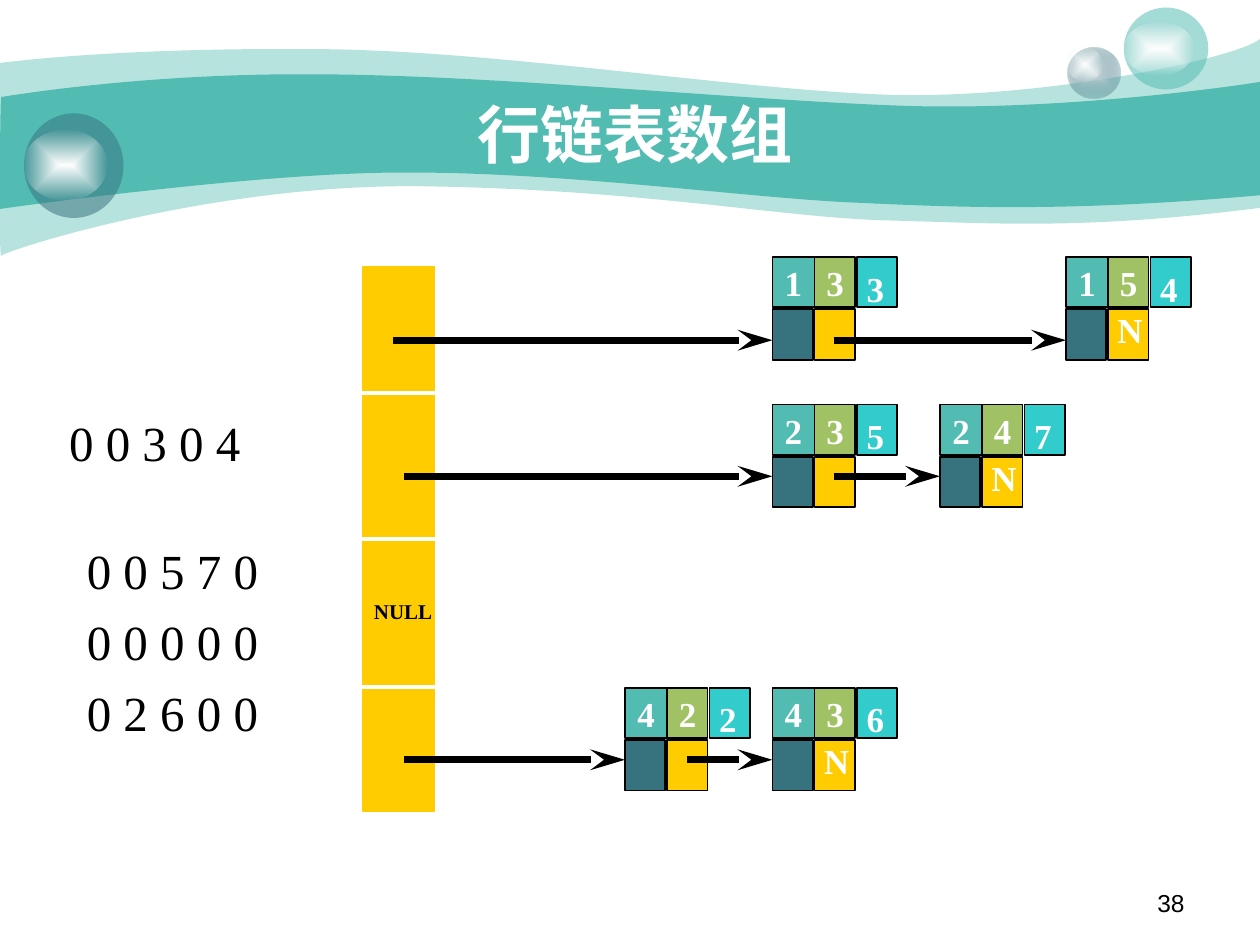
from dataclasses import dataclass

from pptx import Presentation
from pptx.dml.color import RGBColor
from pptx.enum import shapes as kinds, text as txt
from pptx.oxml import parse_xml
from pptx.oxml.ns import nsdecls, qn
from pptx.util import Inches, Pt


@dataclass(frozen=True)
class Theme:
    teal: str = "52BCB2"
    slate: str = "37737F"
    mist: str = "CCDBDE"
    green: str = "A0C264"
    aqua: str = "33CCCC"
    gold: str = "FFCC00"
    black: str = "000000"
    white: str = "FFFFFF"
    serif: str = "Times New Roman"
    sans: str = "Arial"
    title: int = 36
    matrix: int = 28
    cell: int = 20
    page: int = 14
    null: int = 12


THEME = Theme()
CENTER, LEFT, RIGHT = (txt.PP_ALIGN.CENTER, txt.PP_ALIGN.LEFT, txt.PP_ALIGN.RIGHT)
NODE_LINK = 0.49  # distance from a node's left edge to its outgoing arrow


def rgb(color):
    return RGBColor.from_string(color)


def add_text(slide, box, lines, size, color, align=LEFT, bold=False,
             font=THEME.serif, wrap=True):
    frame = slide.shapes.add_textbox(*map(Inches, box)).text_frame
    frame.word_wrap = wrap
    frame.text = "\n".join(lines)
    for paragraph in frame.paragraphs:
        paragraph.alignment = align
        for run in paragraph.runs:
            run.font.size, run.font.bold, run.font.name = Pt(size), bold, font
            run.font.color.rgb = rgb(color)
    return frame


def paint(shape, color, outline=None, alpha=None):
    shape.shadow.inherit = False
    shape.fill.solid()
    shape.fill.fore_color.rgb = rgb(color)
    if alpha is not None:
        solid = shape.element.spPr.find(qn("a:solidFill"))
        solid[0].append(parse_xml(f'<a:alpha {nsdecls("a")} val="{alpha * 1000}"/>'))
    if outline:
        shape.line.color.rgb = rgb(outline)
        shape.line.width = Pt(1)
    else:
        shape.line.fill.background()


def add_line(slide, start, end, color, width, arrow=False):
    line = slide.shapes.add_connector(
        kinds.MSO_CONNECTOR.STRAIGHT, *map(Inches, (*start, *end)))
    line.line.color.rgb = rgb(color)
    line.line.width = Pt(width)
    if arrow:
        line.element.spPr.find(qn("a:ln")).append(parse_xml(
            f'<a:tailEnd {nsdecls("a")} type="stealth" w="med" len="lg"/>'))
    line.element.spPr.append(parse_xml(f'<a:effectLst {nsdecls("a")}/>'))


# Banner: two wavy bands; a point is a straight edge, six numbers are a Bezier curve
def add_band(slide, origin, start, edges, alpha=None):
    left, top = origin
    corners = [(Inches(left + x), Inches(top + y))
               for x, y in (start, *(edge[-2:] for edge in edges))]
    builder = slide.shapes.build_freeform(*corners[0], scale=1.0)
    builder.add_line_segments(corners[1:], close=True)
    band = builder.convert_to_shape()
    # Bend the straight segments into curves
    segments = list(band.element.spPr.iter(qn("a:lnTo")))
    for segment, edge in zip(segments, edges):
        if len(edge) == 6:
            points = "".join(
                f'<a:pt x="{Inches(left + x) - band.left}" y="{Inches(top + y) - band.top}"/>'
                for x, y in zip(edge[::2], edge[1::2]))
            segment.getparent().replace(segment, parse_xml(
                f'<a:cubicBezTo {nsdecls("a")}>{points}</a:cubicBezTo>'))
    paint(band, THEME.teal, alpha=alpha)


def add_banner(slide, origin):
    add_band(slide, origin, (0, 0.5), [
        (0.24, 0.47, 1.07, 0.38, 2.47, 0.39), (3.86, 0.39, 5.75, 0.7, 6.99, 0.75),
        (8.22, 0.8, 9.8, 0.47, 10, 0.31), (10, 1.65),
        (8.58, 1.83, 7.87, 1.77, 7.05, 1.75), (6.22, 1.73, 5.15, 1.51, 3.43, 1.48),
        (1.72, 1.44, 0.04, 1.99, 0.01, 2.03), (-0.01, 2.08, 0, 0.75, 0, 0.5)], alpha=41)
    add_band(slide, origin, (0.01, 0.77), [
        (0.02, 0.77, 1.1, 0.58, 2.48, 0.59), (3.86, 0.59, 5.95, 0.8, 7.18, 0.84),
        (8.41, 0.88, 9.76, 0.69, 10, 0.65), (10, 1.55),
        (8.53, 1.68, 7.65, 1.65, 6.82, 1.61), (5.99, 1.58, 4.47, 1.36, 3.17, 1.37),
        (2.03, 1.37, -0.02, 1.66, -0.01, 1.66), (0, 1.66, 0, 0.77, 0.01, 0.77)])


# Bubbles: a tinted ball under a soft white highlight
def add_ellipse(slide, box, color, alpha=None, inner=None):
    ellipse = slide.shapes.add_shape(kinds.MSO_SHAPE.OVAL, *map(Inches, box))
    paint(ellipse, color, alpha=alpha)
    if inner:
        properties = ellipse.element.spPr
        properties.replace(properties.find(qn("a:solidFill")), parse_xml(
            f'<a:gradFill {nsdecls("a")} rotWithShape="1"><a:gsLst>'
            f'<a:gs pos="0"><a:srgbClr val="{inner}"/></a:gs>'
            f'<a:gs pos="100000"><a:srgbClr val="{color}">'
            f'<a:alpha val="{alpha * 1000}"/></a:srgbClr></a:gs></a:gsLst>'
            '<a:path path="rect"><a:fillToRect l="50000" t="50000" r="50000" b="50000"/>'
            '</a:path></a:gradFill>'))


def add_bubble(slide, box, shine, color, alpha, inner=None):
    left, top = box[:2]
    shine_width, shine_height, shine_top = shine
    add_ellipse(slide, box, color, alpha, inner)
    add_ellipse(slide, (left, top + shine_top, shine_width, shine_height),
                THEME.white, 0, THEME.white)


# Sparse matrix on the left
def add_matrix(slide, box, rows):
    frame = add_text(slide, box, rows, THEME.matrix, THEME.black)
    frame.margin_top = Inches(1.19)
    for number, paragraph in enumerate(frame.paragraphs):
        indent = 0.17 if number else 0.03
        paragraph._p.get_or_add_pPr().set("marL", str(Inches(indent)))
        if number:
            paragraph.space_before = Pt(39.8 if number == 1 else 7)


# Array of row heads
def add_heads(slide, box):
    left, top, width, height = box
    column = slide.shapes.add_shape(kinds.MSO_SHAPE.RECTANGLE, *map(Inches, box))
    paint(column, THEME.gold, THEME.gold)
    for offset in (1, 2.16, 3.33):
        add_line(slide, (left - 0.01, top + offset), (left + width + 0.01, top + offset),
                 THEME.white, 2.25)
    add_text(slide, (left - 0.01, top + 2.58, 0.67, 0.3), ["NULL"],
             THEME.null, THEME.black, bold=True)


# List node: row, column and value above, two pointers below
def add_node(slide, left, top, entry, last):
    row, col, value = entry
    step, drop = 0.335, 0.415
    cells = [(0, 0, 0.49, THEME.teal), (step, 0, 0.32, THEME.green),
             (0, drop, 0.32, THEME.slate), (step, drop, 0.32, THEME.gold),
             (2 * step, 0, 0.32, THEME.aqua)]
    for x, y, width, color in cells:
        cell = slide.shapes.add_shape(
            kinds.MSO_SHAPE.RECTANGLE, *map(Inches, (left + x, top + y, width, 0.4)))
        paint(cell, color, THEME.black)
    labels = [(0, -0.01, 0.5, row, True), (0.33, -0.01, 0.25, col, True),
              (0.65, 0.03, 0.34, value, False)]
    if last:
        labels.append((0.31, 0.36, 0.4, "N", False))
    for x, y, width, label, wrap in labels:
        add_text(slide, (left + x, top + y, width, 0.43), [label],
                 THEME.cell, THEME.white, bold=True, wrap=wrap)


def add_row_list(slide, top, start, link, nodes):
    for number, (left, entry) in enumerate(nodes, 1):
        add_node(slide, left, top, entry, number == len(nodes))
    for left, _ in nodes:
        add_line(slide, (start, top + link), (left, top + link), THEME.black, 4, arrow=True)
        start = left + NODE_LINK


def main():
    deck = Presentation()
    deck.slide_width, deck.slide_height = Inches(10), Inches(7.5)
    slide = deck.slides.add_slide(deck.slide_layouts[6])

    add_banner(slide, (0, 0))
    add_bubble(slide, (8.47, 0.38, 0.42, 0.4), (0.28, 0.27, 0), THEME.slate, 31, THEME.mist)
    add_bubble(slide, (8.92, 0.06, 0.67, 0.65), (0.56, 0.43, 0.11), THEME.teal, 53)
    add_bubble(slide, (0.19, 0.9, 0.79, 0.83), (0.66, 0.56, 0.13), THEME.slate, 53)

    add_text(slide, (7.17, 7, 2.33, 0.35), ["38"], THEME.page, THEME.black,
             align=RIGHT, font=THEME.sans)
    title = add_text(slide, (1, 0.75, 8.08, 0.62), ["行链表数组"], THEME.title,
                     THEME.white, align=CENTER, bold=True)
    title.vertical_anchor = txt.MSO_ANCHOR.MIDDLE

    add_matrix(slide, (0.42, 2.08, 1.92, 4.75),
               ["0 0 3 0 4", "0 0 5 7 0", "0 0 0 0 0", "0 2 6 0 0"])
    add_heads(slide, (2.88, 2.12, 0.57, 4.32))
    add_row_list(slide, 2.04, 3.12, 0.66, [(6.13, "133"), (8.46, "154")])
    add_row_list(slide, 3.21, 3.21, 0.57, [(6.13, "235"), (7.46, "247")])
    add_row_list(slide, 5.46, 3.21, 0.57, [(4.96, "422"), (6.13, "436")])

    deck.save("out.pptx")


if __name__ == "__main__":
    main()
